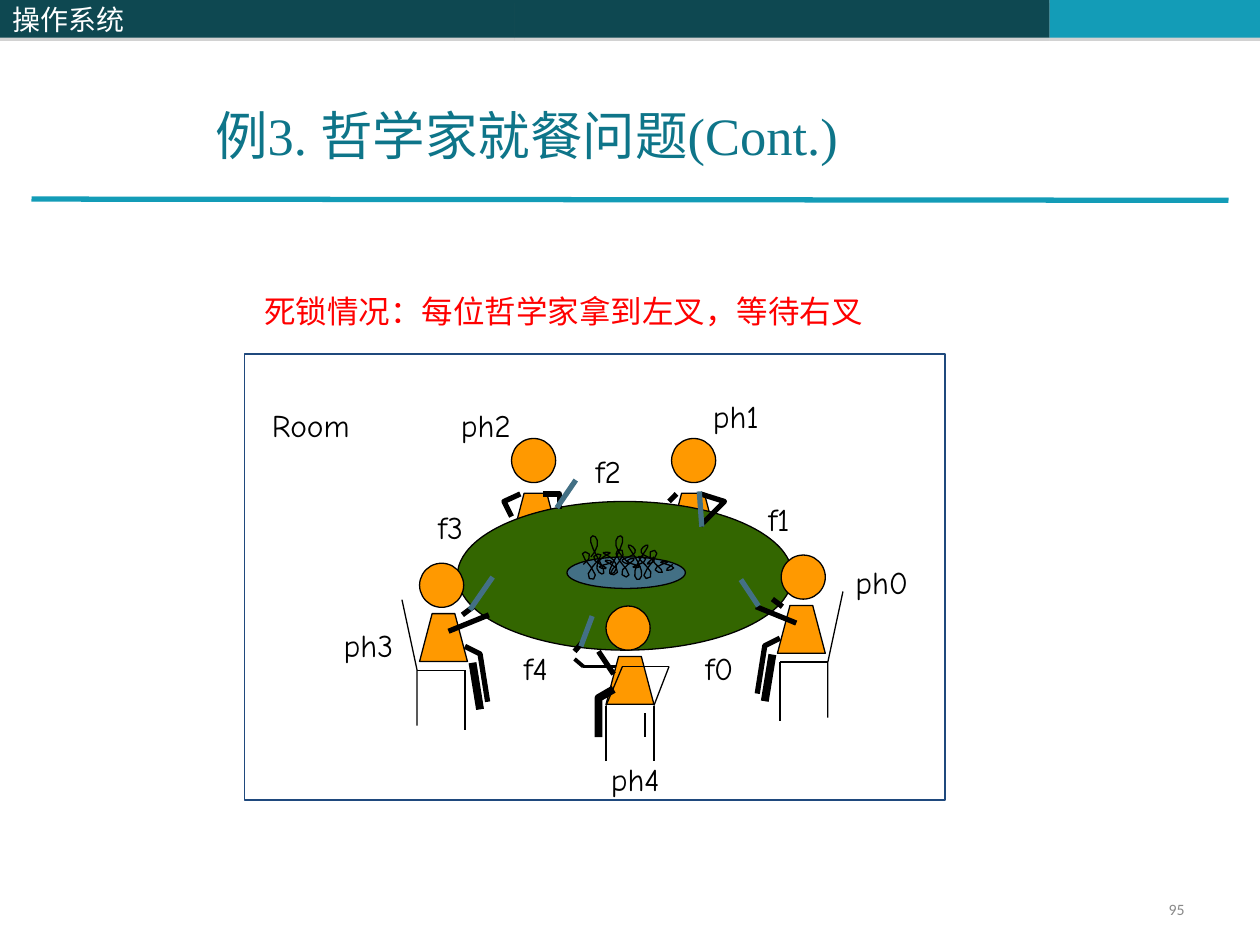
from itertools import pairwise
from math import pi, sin

from lxml import etree
from pptx import Presentation
from pptx import util as u
from pptx.dml.color import RGBColor
from pptx.enum import shapes, text
from pptx.oxml.ns import qn

COLUMNS, ROWS = 100, 75
WIDTH, HEIGHT = u.Inches(10), u.Inches(7.5)
COLORS = {
    "header": "0E4851", "accent": "139CB7", "title": "0E7589", "white": "FFFFFF",
    "frame": "1F497D", "robe": "FF9900", "table": "336600", "steel": "437085",
    "ink": "000000", "warning": "FF0000", "number": "898989", "shade": "808080",
}
CJK = "Noto Sans CJK SC"
THIN, HAND, ARM, LEG = 0.75, 2.25, 3, 4.5
HEAD, ROBE = 3.5, 3.8
MIRROR_X, MIRROR_Y = 98.8, -0.65

PLACES = {
    "ph": [(66.9, 44.2), (55.6, 31), (35.6, 31.7), (26.3, 49.2), (47.5, 59.8)],
    "f": [(55, 51), (60, 39.2), (46.3, 35.4), (33.8, 39.8), (40.6, 51)],
}
LABEL_WIDTHS = {"ph": 6.6, "f": 5}
FORKS = [
    [(47, 48.9), (46.1, 51.3)], [(58.8, 46), (60.2, 48.1)], [(55.7, 41.8), (55.5, 39)],
    [(44.2, 40.3), (45.7, 38.1)], [(37.3, 48.4), (39.1, 45.8)],
]
SIDE_CHAIR = [
    ([(31.9, 47.6), (33.1, 53.2), (33.1, 57.6)], THIN),
    ([(36.9, 53.2), (36.9, 57.9)], THIN),
    ([(33.1, 53.2), (36.9, 53.2)], THIN),
]
SIDE_LIMBS = [
    ([(37.5, 52.6), (38.1, 56.3)], LEG),
    ([(36.9, 51.3), (38.1, 51.9), (38.7, 55.7)], ARM),
    ([(35.6, 50.1), (38.8, 48.8)], ARM),
    ([(36.7, 48.8), (37.5, 48.2)], ARM),
]
FRONT_HAND = [(45.6, 52.3), (46.3, 52.9), (50, 52.9)]
FRONT_CHAIR = [(48.1, 60.4), (48.1, 56), (49.4, 52.9), (53.1, 52.9), (51.9, 56), (51.9, 60.4)]
FRONT_LIMBS = [
    ([(47.5, 56), (47.5, 58.5)], THIN), ([(51.2, 56.6), (51.2, 58.5)], THIN),
    ([(47.5, 51.7), (48.7, 53.5)], ARM),
    ([(48.7, 54.7), (47.5, 55.4), (47.5, 58.5)], LEG),
]
PH1_ARMS = [
    ([(55.6, 39.2), (57.5, 39.8), (55.6, 41.7)], ARM), ([(53.7, 39.2), (53.1, 39.8)], ARM),
]
PH2_ARMS = [
    ([(41.3, 39.2), (40, 39.8), (40.6, 41)], ARM),
    ([(43.1, 39.2), (44.4, 39.2), (44.4, 40.4)], ARM),
]


def col(count):
    return round(WIDTH * count / COLUMNS)


def row(count):
    return round(HEIGHT * count / ROWS)


def rgb(name):
    return RGBColor.from_string(COLORS[name])


def apply(target, values):
    for key, value in values.items():
        setattr(target, key, value)


def paint(item, fill=None, line=None, weight=THIN):
    item.shadow.inherit = False
    if fill:
        item.fill.solid()
        item.fill.fore_color.rgb = rgb(fill)
    else:
        item.fill.background()
    if line:
        item.line.color.rgb = rgb(line)
        item.line.width = u.Pt(weight)
    else:
        item.line.fill.background()
    return item


def preset(canvas, kind, left, top, width, height, **style):
    area = col(left), row(top), col(width), row(height)
    return paint(canvas.add_shape(kind, *area), **style)


def outline(canvas, points, **style):
    start, *rest = [(col(x), row(y)) for x, y in points]
    builder = canvas.build_freeform(*start)
    builder.add_line_segments(rest, close=points[0] == points[-1])
    return paint(builder.convert_to_shape(), **style)


def stroke(canvas, points, weight, color="ink"):
    if len(points) > 2:
        outline(canvas, points, line=color, weight=weight)
        return
    (x1, y1), (x2, y2) = points
    link = canvas.add_connector(
        shapes.MSO_CONNECTOR.STRAIGHT, col(x1), row(y1), col(x2), row(y2))
    link.line.color.rgb = rgb(color)
    link.line.width = u.Pt(weight)
    etree.SubElement(link._element.spPr, qn("a:effectLst"))


def strokes(canvas, parts):
    for points, weight in parts:
        stroke(canvas, points, weight)


def noodle(canvas, left, width, middle, swing, turns, steps=90):
    points = []
    for step in range(steps + 1):
        share = step / steps
        angle = 2 * pi * turns * share
        reach = swing * (0.6 + 0.4 * sin(3 * angle / turns))
        points.append((left + width * share + 0.4 * sin(2 * angle),
                       middle - reach * sin(angle)))
    outline(canvas, points, line="ink")


def head(canvas, left, top):
    preset(canvas, shapes.MSO_SHAPE.OVAL, left, top, HEAD, HEAD, fill="robe", line="ink")


def robe(canvas, left, top):
    hem = top + ROBE
    corners = [(left, hem), (left + 1, top), (left + ROBE - 1, top), (left + ROBE, hem),
               (left, hem)]
    outline(canvas, corners, fill="robe", line="ink")


def seated(canvas, mirrored=False):
    person = canvas.add_group_shape().shapes
    shift = MIRROR_Y if mirrored else 0

    def across(x, width=0):
        return MIRROR_X - x - width if mirrored else x

    def placed(parts):
        return [([(across(x), y + shift) for x, y in points], weight)
                for points, weight in parts]

    strokes(person, placed(SIDE_CHAIR))
    robe(person, across(33.3, ROBE), 48.7 + shift)
    head(person, across(33.3, HEAD), 44.7 + shift)
    strokes(person, placed(SIDE_LIMBS))


def write(item, wording, size, color, font, **layout):
    frame = item.text_frame
    apply(frame, {"word_wrap": True, "vertical_anchor": text.MSO_ANCHOR.TOP, **layout})
    line = frame.paragraphs[0]
    line.alignment = text.PP_ALIGN.LEFT
    run = line.add_run()
    run.text = wording
    apply(run.font, {"size": u.Pt(size), "name": font})
    run.font.color.rgb = rgb(color)
    etree.SubElement(run._r.get_or_add_rPr(), qn("a:ea"), typeface=CJK)
    return line


def caption(canvas, wording, left, top, width, height=4, size=18, color="ink",
            font="Comic Neue", **layout):
    box = canvas.add_textbox(col(left), row(top), col(width), row(height))
    return write(box, wording, size, color, font, **layout)


def banner(canvas, left, width, color):
    band = preset(canvas, shapes.MSO_SHAPE.RECTANGLE, left, 0, width, 3, fill=color)
    effects = band._element.spPr.find(qn("a:effectLst"))
    shade = etree.SubElement(effects, qn("a:outerShdw"), blurRad="0",
                             dist=str(u.Pt(1.8)), dir="5400000", rotWithShape="0")
    tint = etree.SubElement(shade, qn("a:srgbClr"), val=COLORS["shade"])
    etree.SubElement(tint, qn("a:alpha"), val="35000")
    return band


def philosophers(canvas):
    seated(canvas)
    seated(canvas, mirrored=True)
    for points in pairwise(FRONT_HAND):
        stroke(canvas, points, HAND)
    stroke(canvas, [(46.2, 51), (45.6, 51.7)], ARM)
    front = canvas.add_group_shape().shapes
    robe(front, 48.1, 52.1)
    for points in pairwise(FRONT_CHAIR):
        stroke(front, points, THIN)
    head(front, 48.1, 48.1)
    strokes(front, FRONT_LIMBS)
    for left, arms in ((53.3, PH1_ARMS), (40.6, PH2_ARMS)):
        person = canvas.add_group_shape().shapes
        head(person, left, 34.8)
        strokes(person, arms)


def dining_room(canvas):
    oval = shapes.MSO_SHAPE.OVAL
    preset(canvas, shapes.MSO_SHAPE.RECTANGLE, 19.4, 28.1, 55.6, 35.4, line="frame")
    for left in (40.6, 53.1):
        robe(canvas, left, 39.15)
    preset(canvas, oval, 36.3, 39.8, 26.6, 11.8, fill="table", line="ink")
    philosophers(canvas)
    preset(canvas, oval, 45, 44.2, 9.4, 2.5, fill="steel", line="ink")
    noodle(canvas, 46.9, 5, 44.2, 1.8, 5)
    noodle(canvas, 46.3, 7.1, 44.8, 1.2, 8)
    for points in FORKS:
        stroke(canvas, points, ARM, "steel")
    caption(canvas, "Room", 20.6, 31.7, 8.7)
    for prefix, places in PLACES.items():
        for index, place in enumerate(places):
            caption(canvas, f"{prefix}{index}", *place, LABEL_WIDTHS[prefix])


def main():
    deck = Presentation()
    apply(deck, {"slide_width": WIDTH, "slide_height": HEIGHT})
    canvas = deck.slides.add_slide(deck.slide_layouts[6]).shapes
    middle = text.MSO_ANCHOR.MIDDLE
    banner(canvas, 40.8, 42.5, "header")
    banner(canvas, 83.3, 16.7, "accent")
    stroke(canvas, [(2.5, 15.8), (97.5, 15.9)], 3, "accent")
    course = banner(canvas, 0, 40.8, "header")
    write(course, "操作系统", 16, "white", CJK, vertical_anchor=middle)
    number = caption(canvas, "95", 71.7, 70.8, 23.3, 2.7, 9, "number", "Calibri",
                     vertical_anchor=middle)
    number.alignment = text.PP_ALIGN.RIGHT
    dining_room(canvas)
    caption(canvas, "例3. 哲学家就餐问题(Cont.)", 16.1, 4.3, 63.9, 9.4, 30, "title",
            "Times New Roman", vertical_anchor=text.MSO_ANCHOR.BOTTOM)
    caption(canvas, "死锁情况：每位哲学家拿到左叉，等待右叉", 20, 22.7, 61.3,
            color="warning", font=CJK)
    deck.save("out.pptx")


if __name__ == "__main__":
    main()
